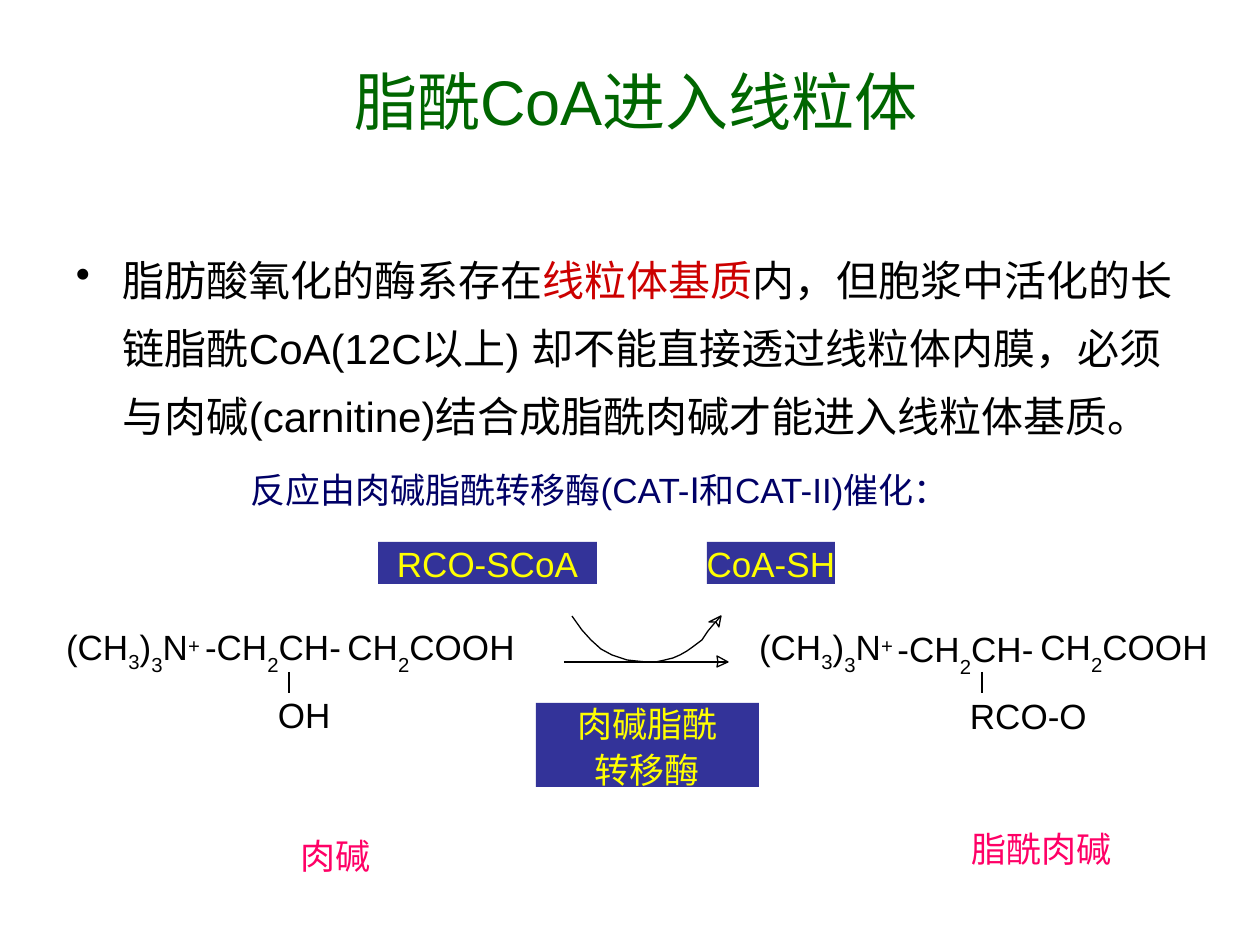
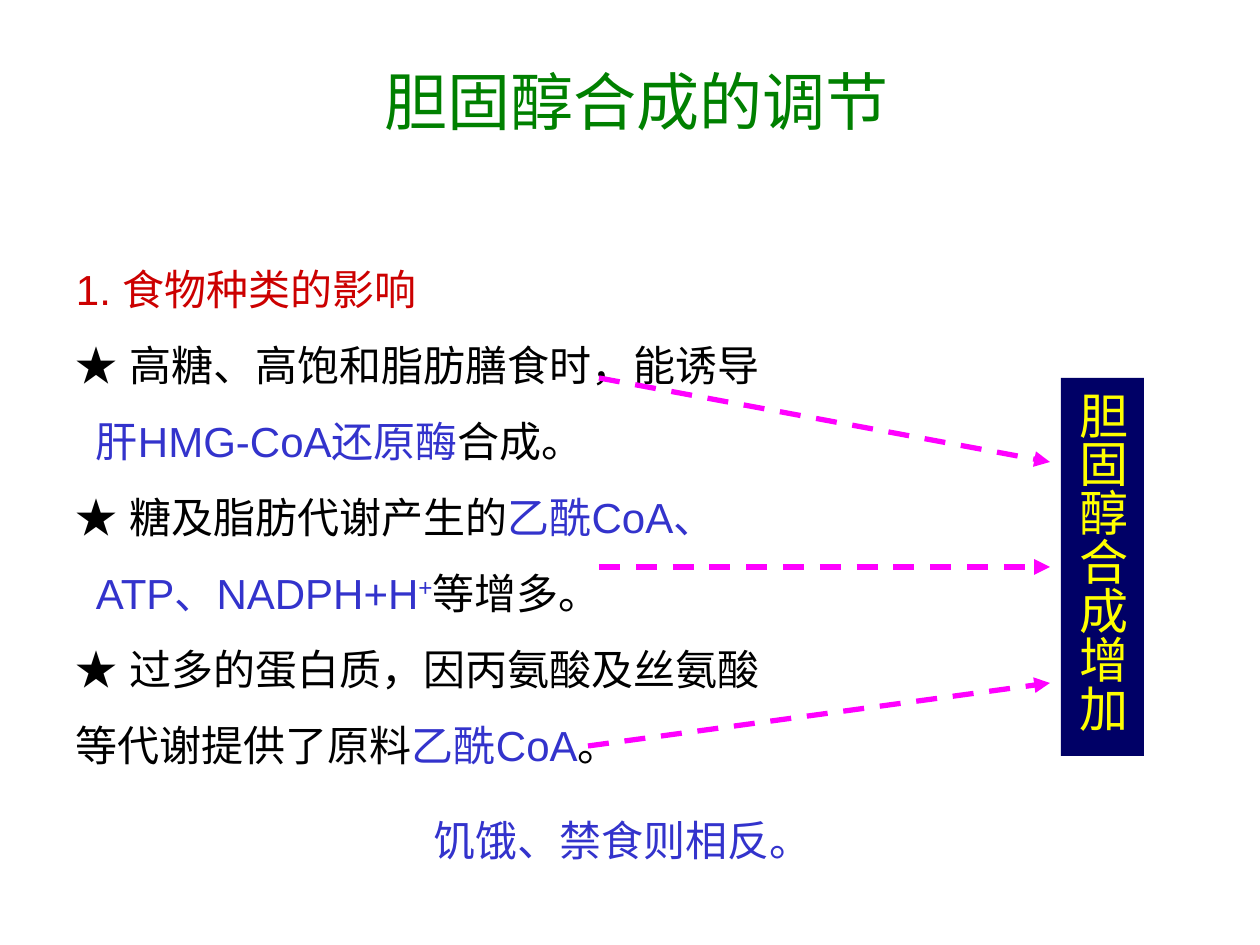
from dataclasses import dataclass

import lxml.etree
import pptx
import pptx.dml.color
import pptx.enum.dml
import pptx.enum.shapes
import pptx.enum.text
import pptx.oxml.ns
import pptx.util


@dataclass(frozen=True)
class Theme:
    font: str = "Arial"
    vertical_font: str = "Noto Sans CJK SC"
    black: str = "000000"
    red: str = "CC0000"
    blue: str = "3333CC"
    navy: str = "000066"
    box: str = "333399"
    yellow: str = "FFFF00"
    pink: str = "FF0066"
    magenta: str = "FF00FF"
    dark_green: str = "006600"
    green: str = "008000"
    title: int = 36
    vertical: int = 28
    body: int = 24
    label: int = 20


THEME = Theme()
PX = 914400 // 126
SLIDE_SIZE = (1260, 945)
TITLE_BOX = (53, 42, 1166, 116)
ALIGN = pptx.enum.text.PP_ALIGN
ANCHOR = pptx.enum.text.MSO_ANCHOR
TEXT_INSETS = (13, 6, 13, 6)

# Slide 1 content: a run is text, or (text, color, baseline percent)
CARNITINE_TITLE = "脂酰CoA进入线粒体"
CARNITINE_BODY = [[
    "脂肪酸氧化的酶系存在",
    ("线粒体基质", THEME.red, 0),
    "内，但胞浆中活化的长链脂酰CoA(12C以上) 却不能直接透过线粒体内膜，"
    "必须与肉碱(carnitine)结合成脂酰肉碱才能进入线粒体基质。",
]]
CATALYSIS = "反应由肉碱脂酰转移酶(CAT-Ⅰ和CAT-II)催化："
REACTION_BOXES = [
    ("RCO-SCoA", (378, 542, 219, 42)),
    ("CoA-SH", (707, 542, 128, 42)),
    ([["肉碱脂酰"], ["转移酶"]], (536, 703, 223, 84)),
]
MOLECULE_NAMES = [("肉碱", (260, 835, 152, 42)), ("脂酰肉碱", (927, 827, 229, 42))]


def lowered(digit, percent=-32):
    return (digit, THEME.black, percent)


AMINE = ["(CH", lowered("3", -25), ")", lowered("3"), "N", ("+", THEME.black, 22)]
MIDDLE = ["-CH", lowered("2"), "CH-"]
ACID = ["CH", lowered("2"), "COOH"]
MOLECULES = [
    {"parts": [(AMINE, (66, 626, 134, 50)), (MIDDLE, (189, 626, 168, 50)),
               (ACID, (347, 626, 168, 50))],
     "group": ("OH", (278, 693, 53, 42)), "bond": 289},
    {"parts": [(AMINE, (759, 626, 134, 50)), (MIDDLE, (892, 628, 147, 50)),
               (ACID, (1040, 626, 168, 50))],
     "group": ("RCO-O", (970, 693, 253, 44)), "bond": 982},
]
BOND_TOP, BOND_BOTTOM = 672, 693
REACTION_LINE = (564, 662, 728, 662)
EXCHANGE_CURVE = [
    (572, 616), (582, 630), (591, 640), (601, 649), (612, 655), (627, 660),
    (636, 661), (646, 662), (656, 662), (665, 660), (673, 658), (680, 655),
    (687, 651), (694, 646), (702, 640), (708, 631), (713, 625), (721, 616),
]
ARROWHEADS = [
    [(717, 656), (728, 662), (717, 667), (718, 662)],
    [(709, 622), (721, 616), (719, 627), (716, 622)],
]

# Slide 2 content
REGULATION_TITLE = "胆固醇合成的调节"
REGULATION_BODY = [
    [("1. 食物种类的影响", THEME.red, 0)],
    ["★ 高糖、高饱和脂肪膳食时，能诱导"],
    [("肝HMG-CoA还原酶", THEME.blue, 0), "合成。"],
    ["★ 糖及脂肪代谢产生的", ("乙酰CoA、", THEME.blue, 0)],
    [("ATP、NADPH+H", THEME.blue, 0), ("+", THEME.blue, 30), "等增多。"],
    ["★ 过多的蛋白质，因丙氨酸及丝氨酸"],
    ["等代谢提供了原料", ("乙酰CoA", THEME.blue, 0), "。"],
]
INDENTED_LINES = {2: 20, 4: 20}
FASTING = "饥饿、禁食则相反。"
OUTCOME = "胆固醇合成增加"
INFLUENCE_ARROWS = [(599, 378, 1050, 462), (599, 567, 1050, 567), (588, 746, 1050, 683)]


def rgb(color):
    return pptx.dml.color.RGBColor.from_string(color)


def add_element(parent, tag, **attributes):
    element = lxml.etree.SubElement(parent, pptx.oxml.ns.qn(tag))
    for name, value in attributes.items():
        element.set(name, str(value))
    return element


def add_run(paragraph, text, color, baseline, size, font):
    run = paragraph.add_run()
    run.text = text
    run.font.size = pptx.util.Pt(size)
    run.font.color.rgb = rgb(color)
    run.font.name = font
    properties = run._r.get_or_add_rPr()
    add_element(properties, "a:ea", typeface=font)
    if baseline:
        properties.set("baseline", str(baseline * 1000))


def add_text(slide, content, box, size=THEME.label, color=THEME.black, fill=None,
             font=THEME.font, align=ALIGN.CENTER, anchor=ANCHOR.MIDDLE,
             insets=(0, 0, 0, 0), wrap=False, spacing=None, later_spacing=None,
             before=0, hanging=0, bullet=None, margins=None, vertical=False):
    """content is a string or a list of paragraphs, each a list of runs."""
    bounds = [value * PX for value in box]
    if fill:
        shape = slide.shapes.add_shape(pptx.enum.shapes.MSO_SHAPE.RECTANGLE, *bounds)
        shape.shadow.inherit = False
        shape.fill.solid()
        shape.fill.fore_color.rgb = rgb(fill)
        shape.line.fill.background()
    else:
        shape = slide.shapes.add_textbox(*bounds)
    frame = shape.text_frame
    frame.word_wrap = wrap
    frame.vertical_anchor = anchor
    (frame.margin_left, frame.margin_top,
     frame.margin_right, frame.margin_bottom) = [value * PX for value in insets]
    if vertical:
        frame._txBody.bodyPr.set("vert", "eaVert")

    paragraphs = [[content]] if isinstance(content, str) else content
    for index, runs in enumerate(paragraphs):
        paragraph = frame.paragraphs[0] if index == 0 else frame.add_paragraph()
        properties = paragraph._p.get_or_add_pPr()
        margin = (margins or {}).get(index, hanging)
        if margin:
            properties.set("marL", str(margin * PX))
            properties.set("indent", str(-hanging * PX))
        if bullet:
            bullet_color = add_element(properties, "a:buClr")
            add_element(bullet_color, "a:srgbClr", val=color)
            add_element(properties, "a:buChar", char=bullet)
        paragraph.alignment = align
        line_spacing = later_spacing if index and later_spacing else spacing
        if line_spacing:
            paragraph.line_spacing = line_spacing
        if index:
            paragraph.space_before = pptx.util.Pt(before)
        for run in runs:
            text, run_color, baseline = (run, color, 0) if isinstance(run, str) else run
            add_run(paragraph, text, run_color, baseline, size, font)
    return shape


def add_line(slide, ends, color=THEME.black, width=0.75, arrow=False):
    connector = slide.shapes.add_connector(
        pptx.enum.shapes.MSO_CONNECTOR.STRAIGHT, *[value * PX for value in ends])
    connector.line.color.rgb = rgb(color)
    connector.line.width = pptx.util.Pt(width)
    if arrow:
        connector.line.dash_style = pptx.enum.dml.MSO_LINE.DASH
        add_element(connector.line._get_or_add_ln(), "a:tailEnd", type="triangle")
    add_element(connector._element.spPr, "a:effectLst")


def add_outline(slide, points, close):
    builder = slide.shapes.build_freeform(*points[0], scale=PX)
    builder.add_line_segments(points[1:], close=close)
    shape = builder.convert_to_shape()
    shape.shadow.inherit = False
    shape.fill.background()
    shape.line.color.rgb = rgb(THEME.black)
    shape.line.width = pptx.util.Pt(0.75)


def add_titled_slide(presentation, title, color):
    slide = presentation.slides.add_slide(presentation.slide_layouts[6])
    add_text(slide, title, TITLE_BOX, size=THEME.title, color=color,
             insets=TEXT_INSETS, wrap=True)
    return slide


def add_body(slide, content, box, **options):
    add_text(slide, content, box, size=THEME.body, align=ALIGN.LEFT,
             anchor=ANCHOR.TOP, insets=TEXT_INSETS, wrap=True, before=6, **options)


def build_carnitine_slide(presentation):
    slide = add_titled_slide(presentation, CARNITINE_TITLE, THEME.dark_green)
    add_body(slide, CARNITINE_BODY, (63, 231, 1134, 640), spacing=1.35,
             hanging=47, bullet="•")

    # Reactants, enzyme and names
    for text, box in REACTION_BOXES:
        add_text(slide, text, box, color=THEME.yellow, fill=THEME.box,
                 later_spacing=0.5, before=12.5)
    for text, box in MOLECULE_NAMES:
        add_text(slide, text, box, color=THEME.pink)
    add_text(slide, CATALYSIS, (237, 462, 766, 55), color=THEME.navy,
             align=ALIGN.LEFT, insets=TEXT_INSETS)

    # Reaction arrows
    add_line(slide, REACTION_LINE)
    add_outline(slide, EXCHANGE_CURVE, close=False)
    for arrowhead in ARROWHEADS:
        add_outline(slide, arrowhead, close=True)

    # Structural formulas
    for molecule in MOLECULES:
        for runs, box in molecule["parts"]:
            add_text(slide, [runs], box)
        group, box = molecule["group"]
        add_text(slide, group, box, align=ALIGN.LEFT, wrap=True)
        add_line(slide, (molecule["bond"], BOND_TOP, molecule["bond"], BOND_BOTTOM))


def build_regulation_slide(presentation):
    slide = add_titled_slide(presentation, REGULATION_TITLE, THEME.green)
    add_body(slide, REGULATION_BODY, (63, 242, 1134, 630), spacing=1.3,
             margins=INDENTED_LINES)
    add_text(slide, FASTING, (421, 809, 403, 63), size=THEME.body, color=THEME.blue,
             align=ALIGN.LEFT, anchor=ANCHOR.TOP, insets=TEXT_INSETS)

    # Influences leading to the outcome
    for ends in INFLUENCE_ARROWS:
        add_line(slide, ends, color=THEME.magenta, width=3, arrow=True)
    add_text(slide, OUTCOME, (1061, 378, 83, 378), size=THEME.vertical,
             color=THEME.yellow, fill=THEME.navy, font=THEME.vertical_font,
             insets=(6, 13, 6, 13), wrap=True, vertical=True)


def main():
    presentation = pptx.Presentation()
    presentation.slide_width, presentation.slide_height = [
        pptx.util.Emu(value * PX) for value in SLIDE_SIZE]
    build_carnitine_slide(presentation)
    build_regulation_slide(presentation)
    presentation.save("out.pptx")


if __name__ == "__main__":
    main()
